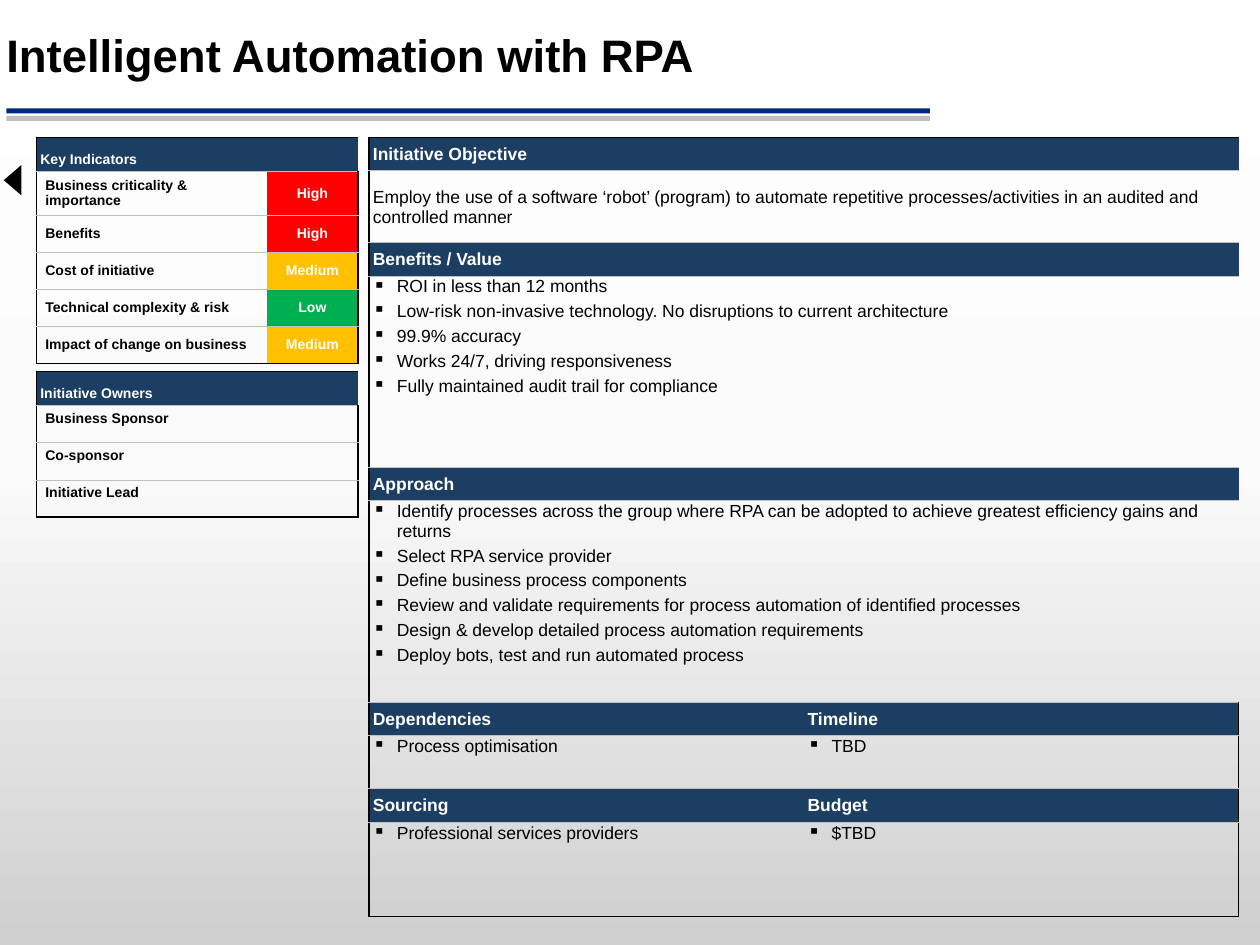
"""Build the one-page initiative summary for Intelligent Automation with RPA."""
from copy import deepcopy
from dataclasses import dataclass

from lxml.etree import SubElement
from pptx import Presentation
from pptx.dml.color import RGBColor as Rgb
from pptx.enum.shapes import MSO_SHAPE as Preset
from pptx.enum.text import MSO_ANCHOR as Anchor, PP_ALIGN as Align
from pptx.oxml.ns import qn
from pptx.util import Emu, Inches, Pt


@dataclass(frozen=True)
class CellStyle:
    margins: tuple
    size: float
    color: str = "000000"
    bold: bool = False
    anchor: Anchor = Anchor.TOP
    align: Align = Align.LEFT
    fill: str | None = None
    bullet: bool = False


class Theme:
    font = "Arial"
    black, white, navy = "000000", "FFFFFF", "1C3E62"
    rule_blue, rule_gray, hairline = "00297A", "BFBFBF", "C0C0C0"
    backdrop = ((0, "CFCFCF"), (0.5, "FAFAFA"), (1, "FFFFFF"))
    ratings = {"High": "FF0000", "Medium": "FFC000", "Low": "00B050"}
    title_size, small, regular = 26, 8, 10
    tight, roomy, even = (0.03, 0.01, 0.01, 0), (0.07, 0.04, 0.07, 0.04), (0.03,) * 4
    panel_heading = CellStyle(even, small, white, True, Anchor.BOTTOM, fill=navy)
    label = CellStyle(roomy, small, bold=True, anchor=Anchor.MIDDLE)
    owner = CellStyle(roomy, small, bold=True)
    section = CellStyle(tight, regular, white, True, Anchor.MIDDLE, fill=navy)
    body = CellStyle(tight, regular, anchor=Anchor.MIDDLE)
    bullets = CellStyle(tight, regular, bullet=True)

    @classmethod
    def rating(cls, level):
        return CellStyle(cls.roomy, cls.small, cls.white, True, Anchor.MIDDLE,
                         Align.CENTER, cls.ratings[level])


class SlideBuilder:
    columns, rows = 100, 75

    def __init__(self, presentation, theme):
        self.theme = theme
        self.column = presentation.slide_width / self.columns
        self.row = presentation.slide_height / self.rows
        self.slide = presentation.slides.add_slide(presentation.slide_layouts[6])

    def box(self, left, top, width, height):
        return [Emu(round(value * unit)) for value, unit in
                zip((left, top, width, height), (self.column, self.row) * 2)]

    def background(self):
        fill = self.slide.background.fill
        fill.gradient()
        fill.gradient_angle = 90
        stops = self.slide.element.find(".//" + qn("a:gsLst"))
        stops.append(deepcopy(stops[-1]))
        for stop, (position, color) in zip(fill.gradient_stops, self.theme.backdrop):
            stop.position = position
            stop.color.rgb = Rgb.from_string(color)

    def shape(self, preset, box, color, rotation=0):
        shape = self.slide.shapes.add_shape(preset, *self.box(*box))
        shape.shadow.inherit = False
        shape.fill.solid()
        shape.fill.fore_color.rgb = Rgb.from_string(color)
        shape.line.fill.background()
        shape.rotation = rotation

    def run(self, paragraph, text, size, color, bold):
        run = paragraph.add_run()
        run.text = text
        font = run.font
        font.name, font.size, font.bold = self.theme.font, Pt(size), bold
        font.color.rgb = Rgb.from_string(color)

    def title(self, box, text):
        frame = self.slide.shapes.add_textbox(*self.box(*box)).text_frame
        frame.word_wrap = True
        frame.vertical_anchor = Anchor.MIDDLE
        frame.margin_left = frame.margin_right = Inches(0.05)
        paragraph = frame.paragraphs[0]
        paragraph.line_spacing = 0.9
        self.run(paragraph, text, self.theme.title_size, self.theme.black, True)

    def table(self, left, top, widths, heights, content):
        """Draw a table whose one-cell rows span the full width."""
        frame = self.slide.shapes.add_table(
            len(heights), len(widths), *self.box(left, top, sum(widths), sum(heights)))
        table = frame.table
        table.first_row = table.horz_banding = False
        for column, width in zip(table.columns, widths):
            column.width = Emu(round(width * self.column))
        for row, height in zip(table.rows, heights):
            row.height = Emu(round(height * self.row))
        last_row, last_column = len(heights) - 1, len(widths) - 1
        for r, entries in enumerate(content):
            for c in range(len(widths)):
                self.borders(table.cell(r, c), c == 0, c == last_column, r == 0, r == last_row)
            if len(entries) == 1:
                table.cell(r, 0).merge(table.cell(r, last_column))
            for c, (style, *texts) in enumerate(entries):
                self.cell(table.cell(r, c), style, texts)

    def borders(self, cell, left, right, top, bottom):
        properties = cell._tc.get_or_add_tcPr()
        for side, outer in zip("LRTB", (left, right, top, bottom)):
            width = 1 if outer else 0.5
            line = SubElement(properties, qn(f"a:ln{side}"), w=str(Pt(width)))
            if side in "LR" and not outer:
                SubElement(line, qn("a:noFill"))
            else:
                color = self.theme.black if outer else self.theme.hairline
                SubElement(SubElement(line, qn("a:solidFill")), qn("a:srgbClr"), val=color)

    def cell(self, cell, style, texts):
        cell.margin_left, cell.margin_top, cell.margin_right, cell.margin_bottom = map(
            Inches, style.margins)
        cell.vertical_anchor = style.anchor
        if style.fill:
            cell.fill.solid()
            cell.fill.fore_color.rgb = Rgb.from_string(style.fill)
        else:
            cell.fill.background()
        frame = cell.text_frame
        if not texts:
            SubElement(frame.paragraphs[0]._p, qn("a:endParaRPr"), sz=str(style.size * 100))
        for index, text in enumerate(texts):
            paragraph = frame.add_paragraph() if index else frame.paragraphs[0]
            paragraph.alignment = style.align
            if style.bullet:
                self.bullet(paragraph)
            self.run(paragraph, text, style.size, style.color, style.bold)

    def bullet(self, paragraph):
        paragraph.space_after = Pt(3)
        properties = paragraph._p.get_or_add_pPr()
        indent = Inches(0.19)
        properties.set("marL", str(indent))
        properties.set("indent", str(-indent))
        SubElement(properties, qn("a:buChar"), char="▪")


def main():
    presentation = Presentation()
    presentation.slide_width, presentation.slide_height = Inches(10), Inches(7.5)
    theme = Theme()
    builder = SlideBuilder(presentation, theme)
    builder.background()
    for top, color in ((9.2, theme.rule_gray), (8.6, theme.rule_blue)):
        builder.shape(Preset.RECTANGLE, (0.5, top, 73.3, 0.4), color)
    builder.title((0, 2.1, 77.7, 4.9), "Intelligent Automation with RPA")

    indicators = (("Business criticality & importance", "High"), ("Benefits", "High"),
                  ("Cost of initiative", "Medium"), ("Technical complexity & risk", "Low"),
                  ("Impact of change on business", "Medium"))
    builder.table(2.9, 10.9, (18.3, 7.2), (2.7, 3.4) + (2.95,) * 4, [
        [(theme.panel_heading, "Key Indicators")],
        *([(theme.label, name), (theme.rating(level), level)] for name, level in indicators)])
    builder.shape(Preset.ISOSCELES_TRIANGLE, (-0.2, 13.6, 2.4, 1.4), theme.black, 270)

    owners = ("Business Sponsor", "Co-sponsor", "Initiative Lead")
    builder.table(2.9, 29.5, (11.4, 14.1), (2.7,) + (2.95,) * 3, [
        [(theme.panel_heading, "Initiative Owners")],
        *([(theme.owner, name), (theme.owner,)] for name in owners)])

    heading = 2.65
    heights = [size for body in (5.7, 15.2, 16, 4.2, 7.5) for size in (heading, body)]
    section, bullets = theme.section, theme.bullets
    builder.table(29.3, 10.9, (34.5, 34.5), heights, [
        [(section, "Initiative Objective")],
        [(theme.body, "Employ the use of a software ‘robot’ (program) to automate repetitive "
                      "processes/activities in an audited and controlled manner")],
        [(section, "Benefits / Value")],
        [(bullets, "ROI in less than 12 months",
          "Low-risk non-invasive technology. No disruptions to current architecture",
          "99.9% accuracy", "Works 24/7, driving responsiveness",
          "Fully maintained audit trail for compliance")],
        [(section, "Approach")],
        [(bullets, "Identify processes across the group where RPA can be adopted to achieve "
                   "greatest efficiency gains and returns",
          "Select RPA service provider", "Define business process components",
          "Review and validate requirements for process automation of identified processes",
          "Design & develop detailed process automation requirements",
          "Deploy bots, test and run automated process")],
        [(section, "Dependencies"), (section, "Timeline")],
        [(bullets, "Process optimisation"), (bullets, "TBD")],
        [(section, "Sourcing"), (section, "Budget")],
        [(bullets, "Professional services providers"), (bullets, "$TBD")]])
    presentation.save("out.pptx")


if __name__ == "__main__":
    main()
